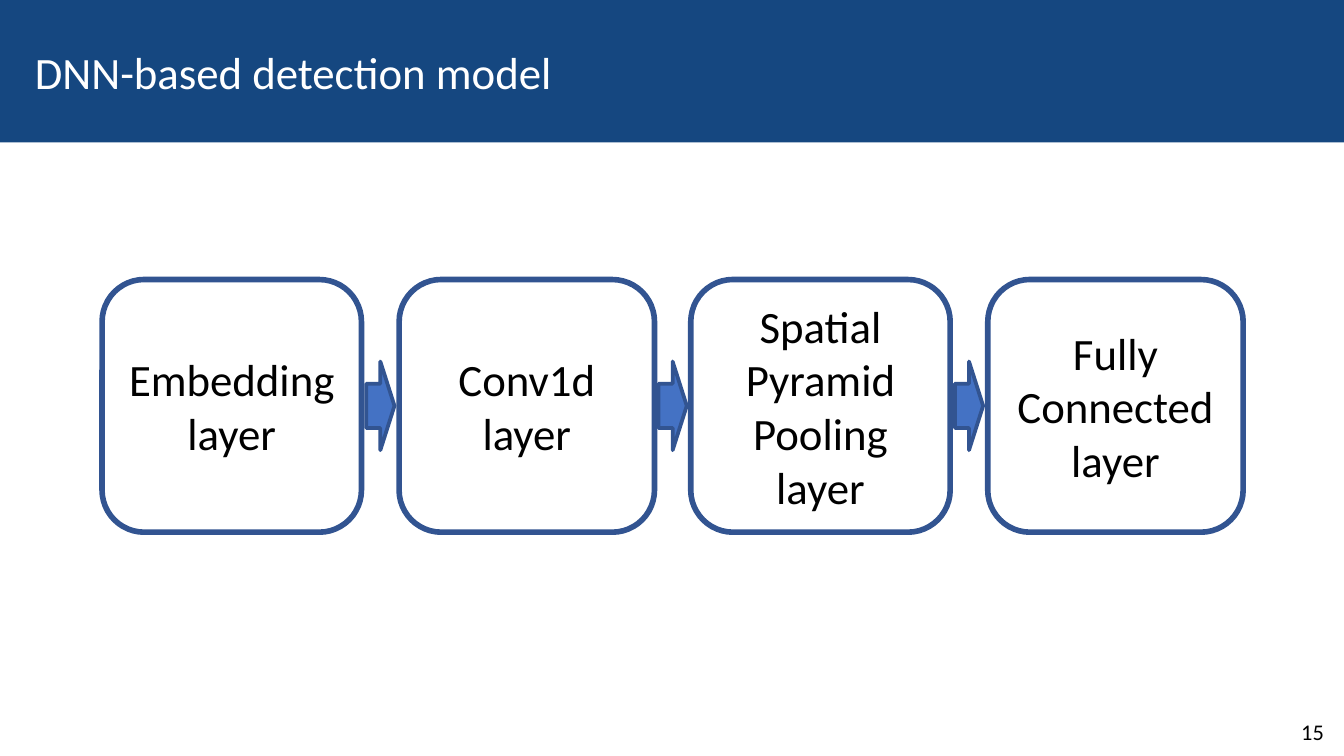
from dataclasses import dataclass
from itertools import pairwise

from pptx import Presentation
from pptx.dml.color import RGBColor
from pptx.enum.shapes import MSO_SHAPE as Preset
from pptx.enum.text import MSO_ANCHOR as Anchor, PP_ALIGN as Align
from pptx.shapes.autoshape import Shape
from pptx.slide import Slide
from pptx.text.text import TextFrame
from pptx.util import Inches, Pt

COLORS = {
    "banner": "154780",
    "outline": "325491",
    "arrow": "4472C4",
    "text": "000000",
    "title": "FFFFFF",
}
FONT = "Calibri"
PAGE_WIDTH = 10
PAGE_HEIGHT = PAGE_WIDTH * 9 / 16
LAYER_TOP, LAYER_HEIGHT = 2.08, 1.88
ARROW_WIDTH, ARROW_HEIGHT = 0.21, 0.66


@dataclass(frozen=True)
class Layer:
    left: float
    width: float
    lines: tuple[str, ...]

    @property
    def right(self) -> float:
        return self.left + self.width


LAYERS = [
    Layer(0.76, 1.93, ("Embedding", "layer")),
    Layer(2.97, 1.9, ("Conv1d", "layer")),
    Layer(5.14, 1.93, ("Spatial", "Pyramid", "Pooling", "layer")),
    Layer(7.35, 1.9, ("Fully", "Connected", "layer")),
]


def color(name: str) -> RGBColor:
    return RGBColor.from_string(COLORS[name])


def write(frame: TextFrame, lines: tuple[str, ...], size: float,
          ink: str, align: Align, anchor: Anchor) -> None:
    frame.vertical_anchor = anchor
    for index, line in enumerate(lines):
        para = frame.add_paragraph() if index else frame.paragraphs[0]
        para.alignment = align
        span = para.add_run()
        span.text = line
        span.font.name = FONT
        span.font.size = Pt(size)
        span.font.color.rgb = color(ink)


def add_preset(page: Slide, preset: Preset, left: float, top: float,
               width: float, height: float, fill: str | None = None,
               line_width: float = 0) -> Shape:
    box = page.shapes.add_shape(preset, Inches(left), Inches(top),
                                Inches(width), Inches(height))
    box.shadow.inherit = False
    if fill:
        box.fill.solid()
        box.fill.fore_color.rgb = color(fill)
    else:
        box.fill.background()
    if line_width:
        box.line.color.rgb = color("outline")
        box.line.width = Pt(line_width)
    else:
        box.line.fill.background()
    return box


def add_title(page: Slide, text: str) -> None:
    title = page.shapes.title
    title.left, title.top = Inches(0.16), Inches(0.06)
    title.width, title.height = Inches(9.69), Inches(0.94)
    write(title.text_frame, (text,), 24, "title", Align.LEFT, Anchor.MIDDLE)
    banner = add_preset(page, Preset.RECTANGLE, 0, 0, PAGE_WIDTH, 1.06, "banner")
    title.element.addprevious(banner.element)


def add_page_number(page: Slide, number: str) -> None:
    box = page.shapes.add_textbox(Inches(9.24), Inches(5.24),
                                  Inches(0.61), Inches(0.3))
    frame = box.text_frame
    frame.word_wrap = True
    frame.margin_left = frame.margin_right = 0
    frame.margin_top = frame.margin_bottom = 0
    write(frame, (number,), 12, "text", Align.RIGHT, Anchor.BOTTOM)


def add_layer(page: Slide, layer: Layer) -> None:
    box = add_preset(page, Preset.ROUNDED_RECTANGLE, layer.left, LAYER_TOP,
                     layer.width, LAYER_HEIGHT, line_width=3)
    box.text_frame.word_wrap = False
    write(box.text_frame, layer.lines, 24, "text", Align.CENTER, Anchor.MIDDLE)


def add_arrow(page: Slide, before: Layer, after: Layer) -> None:
    left = (before.right + after.left - ARROW_WIDTH) / 2
    top = LAYER_TOP + (LAYER_HEIGHT - ARROW_HEIGHT) / 2
    add_preset(page, Preset.RIGHT_ARROW, left, top,
               ARROW_WIDTH, ARROW_HEIGHT, "arrow", 2)


def main() -> None:
    deck = Presentation()
    deck.slide_width, deck.slide_height = Inches(PAGE_WIDTH), Inches(PAGE_HEIGHT)
    page = deck.slides.add_slide(deck.slide_layouts[5])
    add_title(page, "DNN-based detection model")
    add_page_number(page, "15")
    for layer in LAYERS:
        add_layer(page, layer)
    for before, after in pairwise(LAYERS):
        add_arrow(page, before, after)
    deck.save("out.pptx")


if __name__ == "__main__":
    main()
